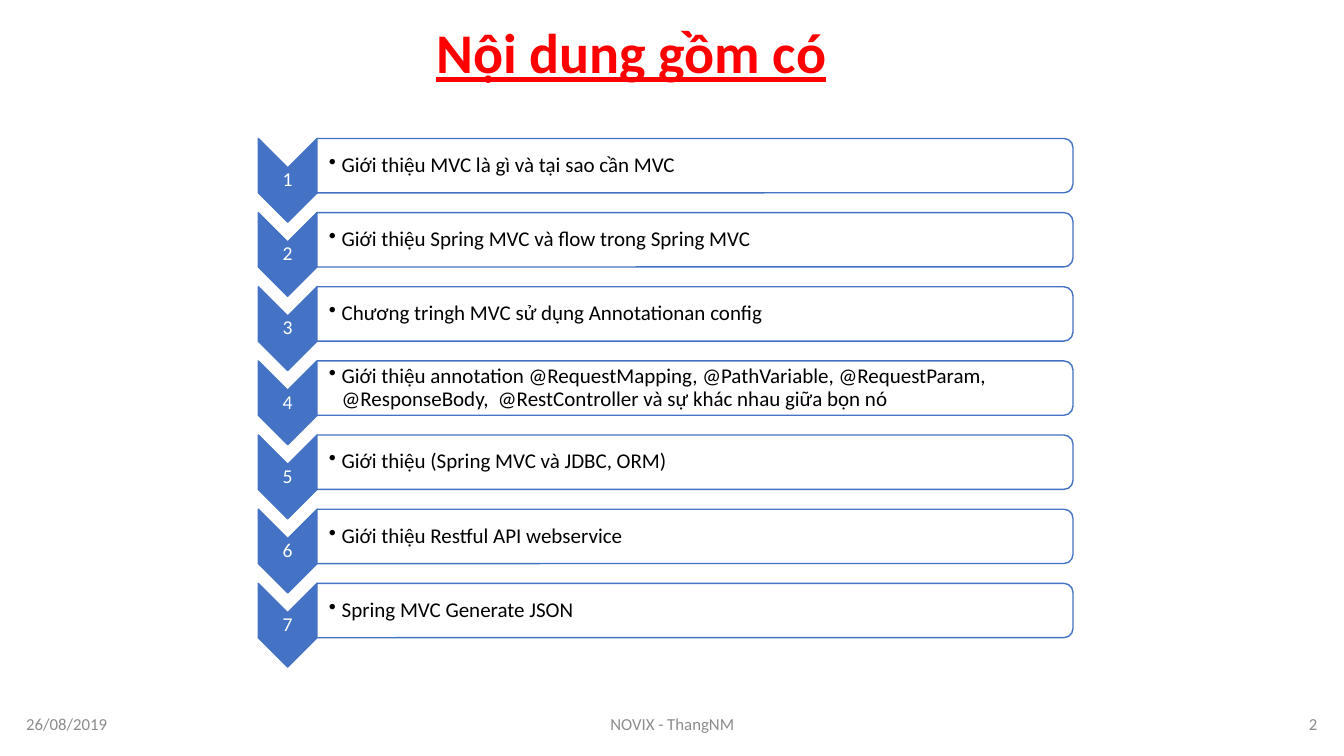
"""Build the contents slide of a Spring MVC course."""
from lxml import etree
from pptx import Presentation
from pptx.dml.color import RGBColor
from pptx.enum.shapes import MSO_SHAPE
from pptx.enum.text import MSO_ANCHOR, MSO_AUTO_SIZE, PP_ALIGN
from pptx.oxml.ns import qn
from pptx.util import Cm, Pt

BLUE = RGBColor(0x44, 0x72, 0xC4)
RED = RGBColor(0xFF, 0x00, 0x00)
GREY = RGBColor(0x8C, 0x8C, 0x8C)
BLACK = RGBColor(0x00, 0x00, 0x00)
WHITE = RGBColor(0xFF, 0xFF, 0xFF)
LEFT, MID, RIGHT = PP_ALIGN.LEFT, PP_ALIGN.CENTER, PP_ALIGN.RIGHT
TOP, CENTRE = MSO_ANCHOR.TOP, MSO_ANCHOR.MIDDLE
CHEVRON, ROUND = MSO_SHAPE.CHEVRON, MSO_SHAPE.ROUND_2_SAME_RECTANGLE
FONT = "Calibri"

TOPICS = [
    "Giới thiệu MVC là gì và tại sao cần MVC",
    "Giới thiệu Spring MVC và flow trong Spring MVC",
    "Chương tringh MVC sử dụng Annotationan config",
    "Giới thiệu annotation @RequestMapping, @PathVariable, @RequestParam, "
    "@ResponseBody,  @RestController và sự khác nhau giữa bọn nó",
    "Giới thiệu (Spring MVC và JDBC, ORM)",
    "Giới thiệu Restful API webservice",
    "Spring MVC Generate JSON",
]
FOOT = [
    ("26/08/2019", 0.41, 7.62, LEFT),
    ("NOVIX - ThangNM", 11.23, 11.43, MID),
    ("2", 25.83, 7.62, RIGHT),
]


def write(shape, words, size, color, align=LEFT, anchor=CENTRE, bold=False,
          line=False, space=1.0, inset=None, bullet=False):
    """Put formatted text into a shape."""
    frame = shape.text_frame
    frame.word_wrap = True
    frame.auto_size = MSO_AUTO_SIZE.NONE
    frame.vertical_anchor = anchor
    if inset:
        (frame.margin_left, frame.margin_top,
         frame.margin_right, frame.margin_bottom) = map(Cm, inset)
    para = frame.paragraphs[0]
    para.alignment = align
    para.line_spacing = space
    run = para.add_run()
    run.text = words
    font = run.font
    font.name, font.size, font.bold, font.underline = FONT, Pt(size), bold, line
    font.color.rgb = color
    if bullet:
        props = para._p.get_or_add_pPr()
        props.set("marL", str(Cm(0.32)))
        props.set("indent", str(Cm(-0.32)))
        etree.SubElement(props, qn("a:buChar")).set("char", "•")


def label(slide, box, words, **form):
    """Add a text box in the given box."""
    write(slide.shapes.add_textbox(*map(Cm, box)), words, **form)


def turned(slide, kind, box, fill):
    """Add a blue-edged shape that fills the box after a quarter turn."""
    left, top, wide, high = box
    shape = slide.shapes.add_shape(
        kind, Cm(left + (wide - high) / 2), Cm(top + (high - wide) / 2),
        Cm(high), Cm(wide))
    shape.rotation = 90
    shape.shadow.inherit = False
    shape.fill.solid()
    shape.fill.fore_color.rgb = fill
    shape.line.color.rgb = BLUE
    shape.line.width = Pt(1)


def topic(slide, box, num, words):
    """Draw one numbered row: chevron at left, rounded bar at right."""
    left, top, wide, high = box
    arrow = 1.48
    sign = (left, top, arrow, high)
    bar = (left + arrow, top, wide - arrow, 1.37)
    turned(slide, CHEVRON, sign, BLUE)
    label(slide, sign, str(num), size=14, color=WHITE, align=MID,
          space=0.9, inset=(0.03,) * 4)
    turned(slide, ROUND, bar, WHITE)
    label(slide, bar, words, size=15, color=BLACK, space=0.9,
          inset=(0.3, 0.03, 0.1, 0.03), bullet=True)


def agenda(slide, box):
    """Spread the topics evenly down the box."""
    left, top, wide, high = box
    row = 2.11
    step = (high - row) / (len(TOPICS) - 1)
    for num, words in enumerate(TOPICS):
        topic(slide, (left, top + num * step, wide, row), num + 1, words)


def heading(slide, box):
    """Place and format the title."""
    title = slide.shapes.title
    title.left, title.top, title.width, title.height = map(Cm, box)
    write(title, "Nội dung gồm có", size=40, color=RED, align=MID,
          anchor=TOP, bold=True, line=True, space=0.9)


def footer(slide, box):
    """Place date, author and page number along the bottom."""
    left, top, _, high = box
    for words, shift, wide, align in FOOT:
        label(slide, (left + shift, top, wide, high), words, size=12,
              color=GREY, align=align)


def main():
    """Build and save the slide."""
    deck = Presentation()
    deck.slide_width, deck.slide_height = Cm(33.87), Cm(19.05)
    slide = deck.slides.add_slide(deck.slide_layouts[5])
    heading(slide, (9.98, 0.51, 11.86, 2.11))
    agenda(slide, (6.51, 3.49, 20.53, 13.32))
    footer(slide, (0, 17.73, 33.87, 1.02))
    deck.save("out.pptx")


main()
